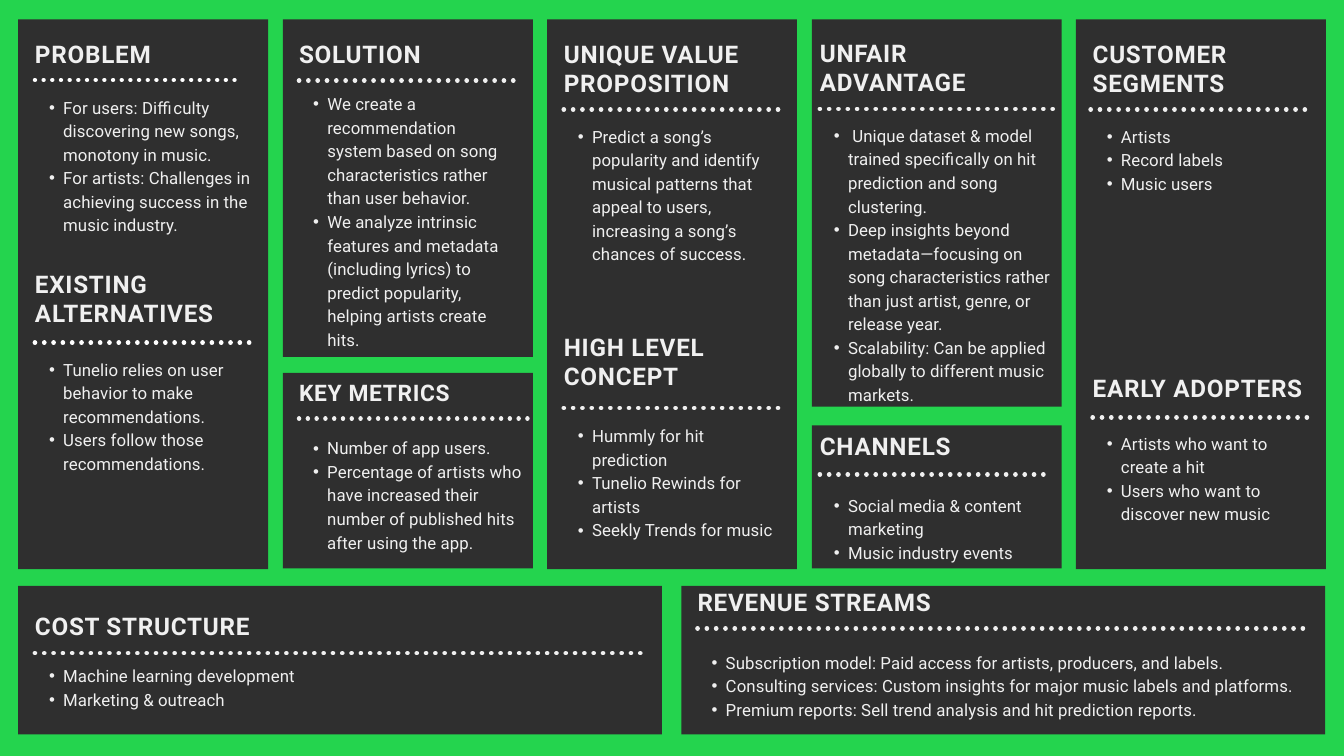
from lxml import etree
from pptx import Presentation
from pptx import util as u
from pptx.dml.color import RGBColor
from pptx.enum import dml, shapes, text
from pptx.oxml.ns import qn

PX = 9144
GREEN, DARK, LIGHT, WHITE = "24D44E", "2F2F2F", "F0F0F0", "FFFFFF"
FONT = "Roboto"
COLUMNS = [27 + (i * 787 + 1) // 2 for i in range(5)]
COLUMN_W, WIDE_W = 372, 958

CARDS = [
    (COLUMNS[0], 29, COLUMN_W, 818),
    (COLUMNS[1], 29, COLUMN_W, 502),
    (COLUMNS[2], 29, COLUMN_W, 818),
    (COLUMNS[4], 29, COLUMN_W, 818),
    (27, 872, WIDE_W, 221),
    (1014, 872, WIDE_W, 221),
    (COLUMNS[1], 555, COLUMN_W, 291),
    (COLUMNS[3], 29, COLUMN_W, 576),
    (COLUMNS[3], 633, COLUMN_W, 213),
]

SECTIONS = [
    dict(title="CHANNELS", x=1220, w=346, title_y=642, rule_y=706, body_y=732, body_h=101,
         bullets=["Social media & content marketing", "Music industry events"]),
    dict(title="EARLY ADOPTERS", x=1626, w=322, title_y=555, rule_y=621, body_y=640, body_h=170,
         bullets=["Artists who want to create a hit", "Users who want to discover new music"]),
    dict(title="PROBLEM", x=52, w=322, title_y=58, rule_y=119, body_y=140, body_h=240,
         rule_scale=0.93, rule_color=WHITE,
         bullets=["For users: Difficulty discovering new songs, monotony in music.",
                  "For artists: Challenges in achieving success in the music industry."]),
    dict(title="SOLUTION", x=445, w=322, title_y=58, rule_y=120, body_y=135, body_h=409,
         bullets=["We create a recommendation system based on song characteristics "
                  "rather than user behavior.",
                  "We analyze intrinsic features and metadata (including lyrics) to "
                  "predict popularity, helping artists create hits."]),
    dict(title="UNIQUE VALUE PROPOSITION", x=839, w=322, title_y=58, lines=2, rule_y=163,
         body_y=183, body_h=204,
         bullets=["Predict a song’s popularity and identify musical patterns that appeal "
                  "to users, increasing a song’s chances of success."]),
    dict(title="EXISTING ALTERNATIVES", x=52, w=322, title_y=401, lines=2, rule_y=510,
         body_y=530, body_h=238, rule_color=WHITE,
         bullets=["Tunelio relies on user behavior to make recommendations.",
                  "Users follow those recommendations."]),
    dict(title="KEY METRICS", x=445, w=346, title_y=563, rule_y=623, body_y=647, body_h=205,
         title_scale=0.94, rule_scale=0.94,
         bullets=["Number of app users.",
                  "Percentage of artists who have increased their number of published "
                  "hits after using the app."]),
    dict(title="HIGH LEVEL CONCEPT", x=839, w=322, title_y=494, lines=2, rule_y=607,
         body_y=629, body_h=170, bullets=["Hummly for hit prediction", "Tunelio Rewinds for artists",
                                          "Seekly Trends for music"]),
    dict(title="UNFAIR ADVANTAGE", x=1220, w=347, title_y=57, lines=2, rule_y=162,
         body_y=182, body_h=409,
         bullets=[" Unique dataset & model trained specifically on hit prediction and song "
                  "clustering.",
                  "Deep insights beyond metadata—focusing on song characteristics rather "
                  "than just artist, genre, or release year.",
                  "Scalability: Can be applied globally to different music markets."]),
    dict(title="CUSTOMER SEGMENTS", x=1626, w=322, title_y=58, lines=2, rule_y=163, rule_x=1623,
         body_y=183, body_h=101, bullets=["Artists", "Record labels", "Music users"]),
    dict(title="COST STRUCTURE", x=52, w=907, title_y=910, rule_y=972, body_y=986, body_h=67,
         bullets=["Machine learning development", "Marketing & outreach"]),
    dict(title="REVENUE STREAMS", x=1038, w=910, title_y=874, rule_y=935, body_y=966, body_h=170,
         bullets=["Subscription model: Paid access for artists, producers, and labels.",
                  "Consulting services: Custom insights for major music labels and platforms.",
                  "Premium reports: Sell trend analysis and hit prediction reports."]),
]


def px(*values):
    return [round(v * PX) for v in values]


def rgb(color):
    return RGBColor.from_string(color)


def add_card(parent, box):
    sp = parent.add_shape(shapes.MSO_SHAPE.RECTANGLE, *px(*box))
    sp.shadow.inherit = False
    sp.fill.solid()
    sp.fill.fore_color.rgb = rgb(DARK)
    sp.line.fill.background()


def add_rule(parent, x, y, w, color, weight):
    line = parent.add_connector(shapes.MSO_CONNECTOR.STRAIGHT, *px(x, y, x + w, y))
    line.line.color.rgb = rgb(color)
    line.line.width = u.Pt(weight)
    line.line.dash_style = dml.MSO_LINE.ROUND_DOT
    line.line._get_or_add_ln().set("cap", "rnd")
    etree.SubElement(line._element.spPr, qn("a:effectLst"))


def add_text(parent, box, lines, size, leading, spacing, bold=False, bullet=False):
    tf = parent.add_textbox(*px(*box)).text_frame
    tf.word_wrap = True
    tf.auto_size = text.MSO_AUTO_SIZE.SHAPE_TO_FIT_TEXT
    tf.margin_left = tf.margin_top = tf.margin_right = tf.margin_bottom = 0
    tf.text = "\n".join(lines)
    for p in tf.paragraphs:
        p.line_spacing = u.Pt(leading)
        if bullet:
            p.level = 1
            pPr = p._p.get_or_add_pPr()
            pPr.set("marL", str(42 * PX))
            pPr.set("indent", str(-21 * PX))
            etree.SubElement(pPr, qn("a:buFont"), typeface="Arial")
            etree.SubElement(pPr, qn("a:buChar"), char="•")
        for r in p.runs:
            r.font.name = FONT
            r.font.size = u.Pt(size)
            r.font.bold = bold
            r.font.color.rgb = rgb(LIGHT)
            r._r.get_or_add_rPr().set("spc", str(round(spacing * 100)))


def add_section(parent, title, x, w, title_y, rule_y, body_y, body_h, bullets, lines=1,
                title_scale=1, rule_scale=1, rule_color=LIGHT, rule_x=None):
    k = title_scale
    add_text(parent, (x, title_y, w, 43 * lines * k), [title],
             round(26 * k, 1), 31.2 * k, 0.8 * k, bold=True)
    add_text(parent, (x, body_y, w, body_h), bullets, 18, 25.2, 0.1, bullet=True)
    rule_w = w if k != 1 else w * rule_scale
    add_rule(parent, rule_x or x, rule_y, rule_w, rule_color, 5 * rule_scale)


def main():
    prs = Presentation()
    prs.slide_width, prs.slide_height = px(2000, 1125)
    s = prs.slides.add_slide(prs.slide_layouts[6])
    s.background.fill.solid()
    s.background.fill.fore_color.rgb = rgb(GREEN)
    for box in CARDS:
        add_card(s.shapes, box)
    for section in SECTIONS:
        add_section(s.shapes.add_group_shape().shapes, **section)
    prs.save("out.pptx")


if __name__ == "__main__":
    main()
